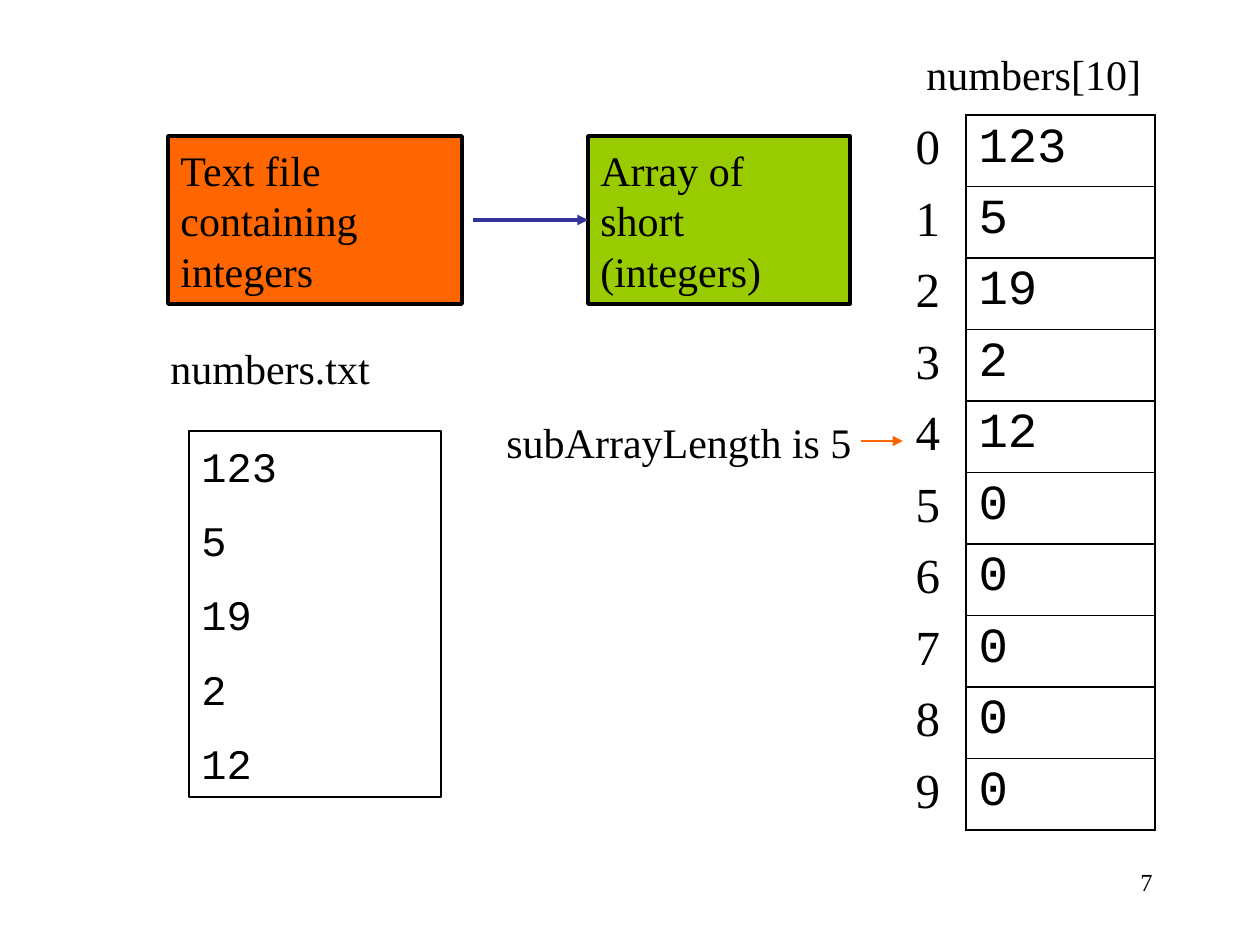
import pptx
import pptx.util
import pptx.dml.color
import pptx.enum.shapes
import pptx.enum.text
import pptx.oxml
import pptx.oxml.ns

SCALE = 914400 / 126
HEX = {"ink": "000000", "orange": "FF6600", "green": "99CC00", "blue": "333399"}
SERIF, MONO = "Times New Roman", "Courier New"
ANCHOR = pptx.enum.text.MSO_ANCHOR
ALIGN = pptx.enum.text.PP_ALIGN


def px(*nums):
    return [pptx.util.Emu(round(n * SCALE)) for n in nums]


def write(frame, lines, size, face, align=ALIGN.LEFT):
    frame.text = "\n".join(lines)
    for i, para in enumerate(frame.paragraphs):
        para.alignment = align
        if i:
            para.space_before = pptx.util.Pt(size * 0.57)
        form = {"size": pptx.util.Pt(size), "name": face, "bold": False}
        for key, value in form.items():
            setattr(para.runs[0].font, key, value)
        para.runs[0].font.color.rgb = pptx.dml.color.RGBColor.from_string(HEX["ink"])


deck = pptx.Presentation()
deck.slide_width, deck.slide_height = px(1260, 945)
slide = deck.slides.add_slide(deck.slide_layouts[6])

boxes = [
    (168, 136, 294, 168, "orange", 2, ["Text file containing integers"], SERIF),
    (588, 136, 262, 168, "green", 2, ["Array of short (integers)"], SERIF),
    (189, 431, 252, 366, None, 0.75, ["123", "5", "19", "2", "12"], MONO),
]
for left, top, wide, high, fill, line, lines, face in boxes:
    box = slide.shapes.add_shape(
        pptx.enum.shapes.MSO_SHAPE.RECTANGLE, *px(left, top, wide, high))
    box.shadow.inherit = False
    if fill:
        box.fill.solid()
        box.fill.fore_color.rgb = pptx.dml.color.RGBColor.from_string(HEX[fill])
    else:
        box.fill.background()
    box.line.color.rgb = pptx.dml.color.RGBColor.from_string(HEX["ink"])
    box.line.width = pptx.util.Pt(line)
    box.text_frame.word_wrap = True
    box.text_frame.vertical_anchor = ANCHOR.MIDDLE
    write(box.text_frame, lines, 24, face)

labels = [
    (158, 336, 305, 63, "numbers.txt", 24, ALIGN.LEFT),
    (914, 42, 273, 63, "numbers[10]", 24, ALIGN.LEFT),
    (494, 410, 388, 63, "subArrayLength is 5", 24, ALIGN.LEFT),
    (903, 861, 262, 63, "7", 14, ALIGN.RIGHT),
]
for left, top, wide, high, text, size, align in labels:
    label = slide.shapes.add_textbox(*px(left, top, wide, high))
    label.text_frame.word_wrap = True
    write(label.text_frame, [text], size, SERIF, align)

for start, end, y, tint, line in [(473, 588, 220, "blue", 2), (861, 903, 441, "orange", 0.75)]:
    arrow = slide.shapes.add_connector(
        pptx.enum.shapes.MSO_CONNECTOR.STRAIGHT, *px(start, y, end, y))
    arrow.line.color.rgb = pptx.dml.color.RGBColor.from_string(HEX[tint])
    arrow.line.width = pptx.util.Pt(line)
    tail = pptx.oxml.parse_xml(
        f'<a:tailEnd {pptx.oxml.ns.nsdecls("a")} type="triangle"/>')
    arrow.line._get_or_add_ln().append(tail)
    arrow._element.spPr.append(pptx.oxml.parse_xml(
        f'<a:effectLst {pptx.oxml.ns.nsdecls("a")}/>'))

values = [123, 5, 19, 2, 12, 0, 0, 0, 0, 0]
table = slide.shapes.add_table(len(values), 2, *px(903, 115, 252, 715)).table
for flag in ("first_row", "horz_banding"):
    setattr(table, flag, False)
for col, wide in zip(table.columns, px(63, 189)):
    col.width = wide
for i, value in enumerate(values):
    for j, (text, face) in enumerate([(i, SERIF), (value, MONO)]):
        cell = table.cell(i, j)
        write(cell.text_frame, [str(text)], 28, face)
        props = cell._tc.get_or_add_tcPr()
        for side in ("lnL", "lnR", "lnT", "lnB"):
            if j or side == "lnR":
                paint = f'<a:solidFill><a:srgbClr val="{HEX["ink"]}"/></a:solidFill>'
            else:
                paint = "<a:noFill/>"
            props.append(pptx.oxml.parse_xml(
                f'<a:{side} {pptx.oxml.ns.nsdecls("a")} w="12700">{paint}</a:{side}>'))
        cell.fill.background()

deck.save("out.pptx")
